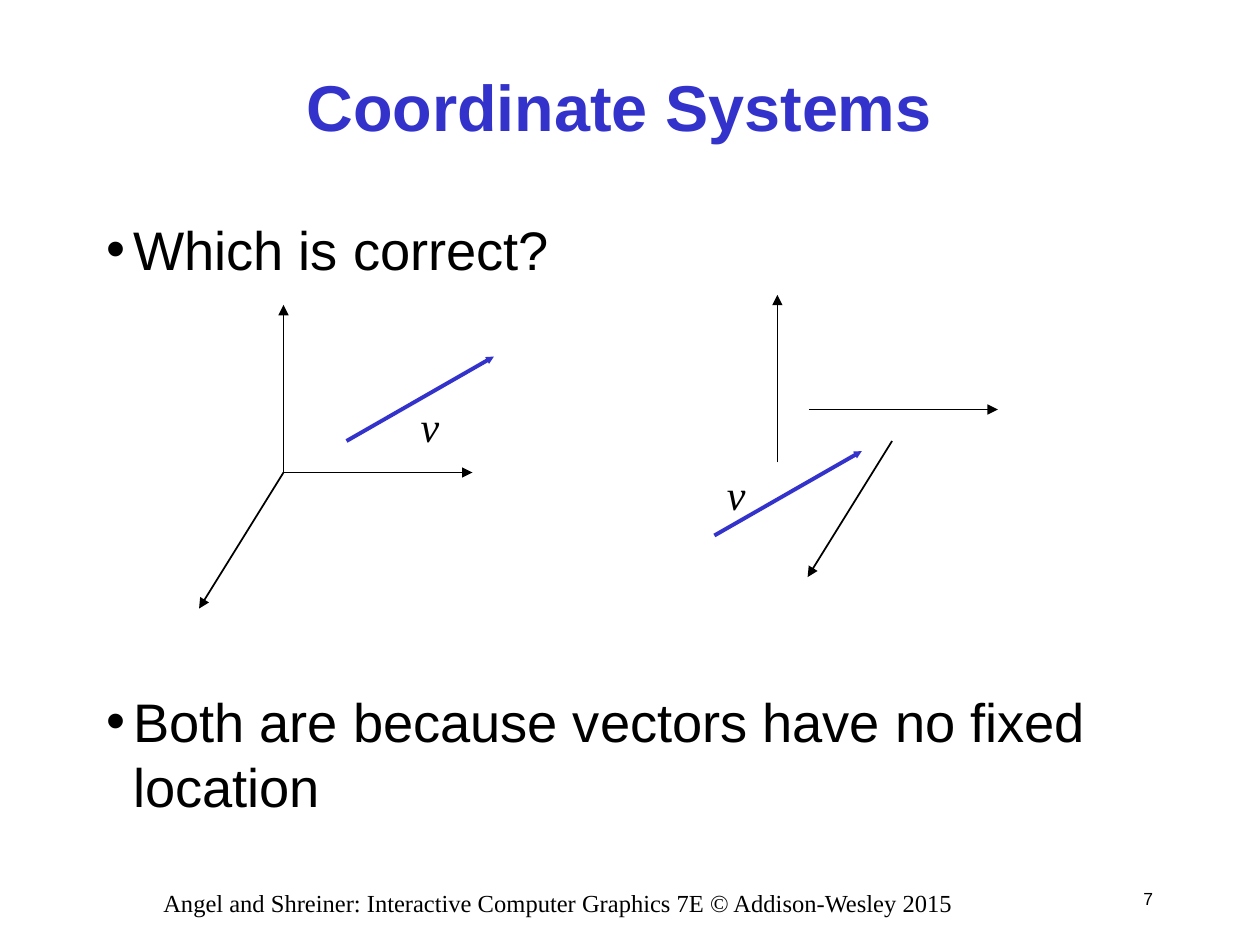
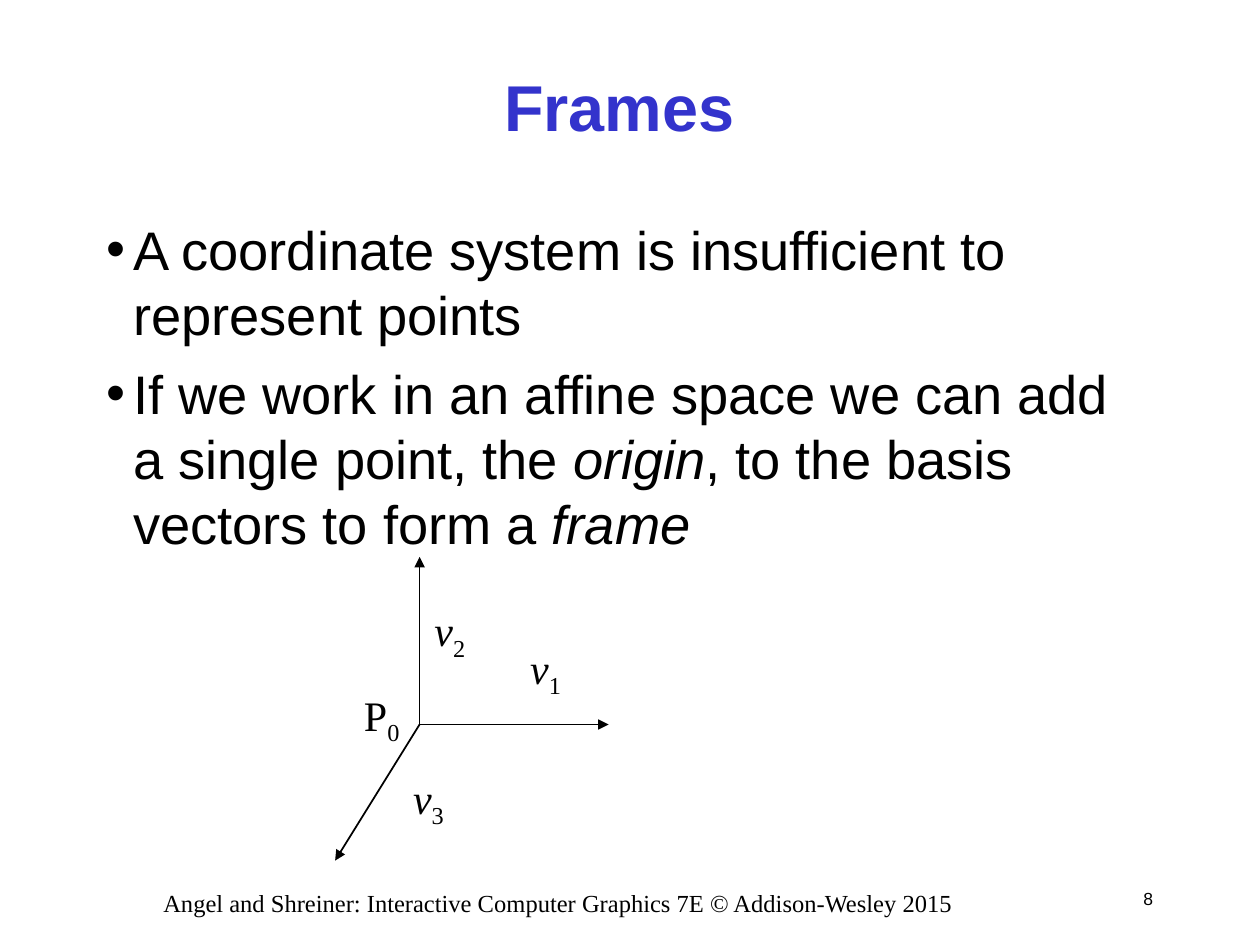
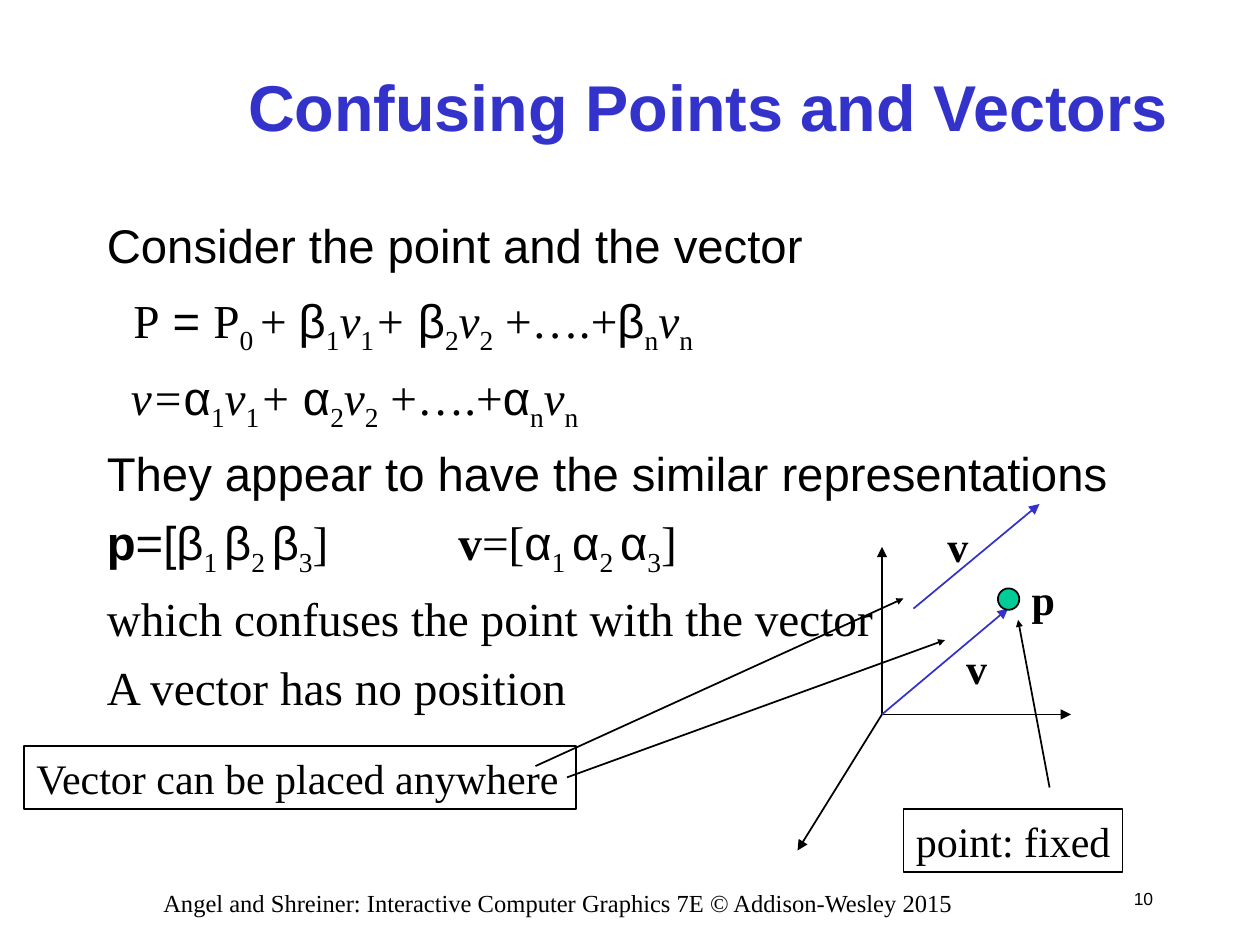
"""Builds three slides on coordinate systems, frames, points and vectors."""
from dataclasses import dataclass

from lxml import etree
from pptx import Presentation
from pptx import util as u
from pptx.dml import color
from pptx.enum import shapes, text
from pptx.oxml import ns


@dataclass(frozen=True)
class Theme:
    ink: str = "000000"
    accent: str = "3333CC"
    dot: str = "00CC99"
    sans: str = "Arial"
    serif: str = "Times New Roman"
    title: float = 37
    body: float = 31
    formula: float = 27
    label: float = 24
    footer: float = 14
    number: float = 10
    thin: float = 1
    thick: float = 2.25


THEME = Theme()
FOOTER = "Angel and Shreiner: Interactive Computer Graphics 7E © Addison-Wesley 2015"
AXES = [(1.5, 0), (0, -1.33), (-0.67, 1.08)]
HANG = 0.21

SANS = {"font": THEME.sans}
SANS_BOLD = {"font": THEME.sans, "bold": True}
SANS_ITALIC = {"font": THEME.sans, "italic": True}
SERIF = {"font": THEME.serif}
BOLD = {"font": THEME.serif, "bold": True}
ITALIC = {"font": THEME.serif, "italic": True}
SUB = {"font": THEME.serif, "sub": True}


def rgb(value):
    return color.RGBColor.from_string(value)


def series(symbol):
    return [(symbol, SANS), ("1", SUB), ("v", ITALIC), ("1", SUB), ("+ ", ITALIC),
            (symbol, SANS), ("2", SUB), ("v", ITALIC), ("2", SUB), (" +….+", SERIF),
            (symbol, SANS), ("n", SUB), ("v", ITALIC), ("n", SUB)]


def components(symbol):
    spans = [(mark, style) for index in ("1 ", "2 ", "3")
             for mark, style in ((symbol, SANS), (index, SUB))]
    return spans + [("]", SERIF)]


class Deck:
    """Holds the style and the current slide."""

    def __init__(self, theme):
        self.theme = theme
        self.deck = Presentation()
        self.deck.slide_width, self.deck.slide_height = u.Inches(10), u.Inches(7.5)
        self.page = None

    def start_page(self, title, number, title_left=1.5, title_width=6.83):
        self.page = self.deck.slides.add_slide(self.deck.slide_layouts[6])
        theme, align = self.theme, text.PP_ALIGN
        middle = text.MSO_ANCHOR.MIDDLE
        self.textbox((8.83, 6.92, 0.42, 0.42), [(str(number), SANS)], theme.number,
                     align=align.RIGHT, anchor=middle)
        self.textbox((title_left, 0.25, title_width, 1.17), [(title, SANS_BOLD)],
                     theme.title, theme.accent, align.CENTER, middle)
        self.textbox((0.47, 7, 7.92, 0.5), [(FOOTER, SERIF)], theme.footer,
                     align=align.CENTER)

    def frame(self, area):
        box = self.page.shapes.add_textbox(*map(u.Inches, area))
        box.text_frame.word_wrap = True
        return box.text_frame

    def fill_para(self, para, spans, size, ink=None):
        for words, style in spans:
            span = para.add_run()
            span.text = words
            font = span.font
            font.name, font.size = style["font"], u.Pt(size)
            font.bold = style.get("bold", False)
            font.italic = style.get("italic", False)
            font.color.rgb = rgb(ink or self.theme.ink)
            if style.get("sub"):
                font._element.set("baseline", "-25000")

    def textbox(self, area, spans, size, ink=None, align=text.PP_ALIGN.LEFT,
                anchor=text.MSO_ANCHOR.TOP):
        frame = self.frame(area)
        frame.vertical_anchor = anchor
        frame.paragraphs[0].alignment = align
        self.fill_para(frame.paragraphs[0], spans, size, ink)
        return frame

    def label(self, left, top, *spans, width=0.4, height=0.5):
        frame = self.textbox((left, top, width, height), spans, self.theme.label)
        frame.word_wrap = False
        frame.auto_size = text.MSO_AUTO_SIZE.SHAPE_TO_FIT_TEXT

    def body(self, items, size, bullet=False):
        """Each item is (spans, space before, left indent, hanging indent)."""
        frame = self.frame((0.75, 1.67, 8.5, 5.17))
        for index, (spans, before, indent, hang) in enumerate(items):
            para = frame.add_paragraph() if index else frame.paragraphs[0]
            props = para._p.get_or_add_pPr()
            props.set("marL", str(u.Inches(indent)))
            props.set("indent", str(-u.Inches(hang)))
            if bullet:
                etree.SubElement(props, ns.qn("a:buFont"), typeface=self.theme.sans)
                etree.SubElement(props, ns.qn("a:buChar"), char="•")
            para.space_before = u.Pt(before)
            self.fill_para(para, spans, size)

    def arrow(self, start, end, ink=None, width=None, head="med"):
        line = self.page.shapes.add_connector(
            shapes.MSO_CONNECTOR.STRAIGHT, *map(u.Inches, (*start, *end)))
        line.line.color.rgb = rgb(ink or self.theme.ink)
        line.line.width = u.Pt(width or self.theme.thin)
        etree.SubElement(line.line._get_or_add_ln(), ns.qn("a:tailEnd"),
                         type="triangle", w=head, len=head)
        etree.SubElement(line._element.spPr, ns.qn("a:effectLst"))

    def axes(self, *origins):
        """Draws the three axes from one shared origin or from one origin each."""
        starts = origins * 3 if len(origins) == 1 else origins
        for (left, top), (across, down) in zip(starts, AXES):
            self.arrow((left, top), (left + across, top + down))

    def shape(self, kind, area, fill=None):
        shape = self.page.shapes.add_shape(kind, *map(u.Inches, area))
        shape.shadow.inherit = False
        shape.line.color.rgb = rgb(self.theme.ink)
        shape.line.width = u.Pt(self.theme.thin)
        if fill:
            shape.fill.solid()
            shape.fill.fore_color.rgb = rgb(fill)
        else:
            shape.fill.background()
        return shape

    def callout(self, area, words):
        frame = self.shape(shapes.MSO_SHAPE.RECTANGLE, area).text_frame
        frame.word_wrap = False
        frame.vertical_anchor = text.MSO_ANCHOR.TOP
        frame.paragraphs[0].alignment = text.PP_ALIGN.LEFT
        self.fill_para(frame.paragraphs[0], [(words, SERIF)], self.theme.label)


def coordinate_systems(deck):
    theme = deck.theme
    deck.start_page("Coordinate Systems", 7)
    deck.body([
        ([("Which is correct?", SANS)], 0, HANG, HANG),
        ([("Both are because vectors have no fixed location", SANS)], 232.5, HANG, HANG),
    ], theme.body, bullet=True)
    deck.axes((2.25, 3.75))
    deck.axes((6.42, 3.25), (6.17, 3.67), (7.08, 3.5))
    for left, top in ((2.75, 3.5), (5.67, 4.25)):
        deck.arrow((left, top), (left + 1.17, top - 0.67), theme.accent, theme.thick, "sm")
    for left, top in ((3.24, 3.13), (5.67, 3.67)):
        deck.label(left, top, ("v", ITALIC))


def frames(deck):
    deck.start_page("Frames", 8)
    deck.body([
        ([("A coordinate system is insufficient to represent points", SANS)], 0, HANG, HANG),
        ([("If we work in an affine space we can add a single point, the ", SANS),
          ("origin", SANS_ITALIC), (", to the basis vectors to form a ", SANS),
          ("frame", SANS_ITALIC)], 7.7, HANG, HANG),
    ], deck.theme.body, bullet=True)
    deck.axes((3.33, 5.75))
    deck.label(2.79, 5.42, ("P", SERIF), ("0", SUB), width=0.5, height=0.56)
    for index, left, top in (("1", 4.11, 5.05), ("2", 3.35, 4.75), ("3", 3.18, 6.08)):
        deck.label(left, top, ("v", ITALIC), (index, SUB), width=0.5, height=0.56)


def points_and_vectors(deck):
    theme, gap, column = deck.theme, 6.8, 2.79
    deck.start_page("Confusing Points and Vectors", 10, 1.83, 7.58)
    point = [("P", SERIF), (" = ", SANS), ("P", SERIF), ("0 ", SUB), ("+ ", SERIF)]
    pair = [("p", SANS_BOLD), ("=[", SANS), *components("β"),
            ("\t", SERIF), ("v", BOLD), ("=[", SERIF), *components("α")]
    deck.body([
        ([("Consider the point and the vector", SANS)], 0, 0, 0),
        (point + series("β"), gap + 3.6, HANG, 0),
        ([("v=", ITALIC)] + series("α"), gap, 0.19, 0),
        ([("They appear to have the similar representations", SANS)], gap, 0, 0),
        (pair, gap, column, column),
        ([("which confuses the point with the vector", SERIF)], gap, 0, 0),
        ([("A vector has no position", SERIF)], gap, 0, 0),
    ], theme.formula)
    origin = (7, 5.67)
    deck.axes(origin)
    deck.arrow(origin, (8, 4.83), theme.accent)
    deck.arrow((7.25, 4.83), (8.25, 4), theme.accent)
    for name, left, top in (("v", 7.57, 5.05), ("p", 8.09, 4.5), ("v", 7.42, 4.08)):
        deck.label(left, top, (name, BOLD))
    deck.arrow((4.25, 6.08), (7.17, 4.75), head="sm")
    deck.arrow((4.5, 6.17), (7.5, 5.08), head="sm")
    deck.callout((0.19, 5.92, 4.38, 0.5), "Vector can be placed anywhere")
    deck.shape(shapes.MSO_SHAPE.OVAL, (7.92, 4.67, 0.17, 0.17), theme.dot)
    deck.arrow((8.33, 6.25), (8.08, 4.92), head="sm")
    deck.callout((7.17, 6.42, 1.74, 0.5), "point: fixed")


def main():
    deck = Deck(THEME)
    coordinate_systems(deck)
    frames(deck)
    points_and_vectors(deck)
    deck.deck.save("out.pptx")


if __name__ == "__main__":
    main()
